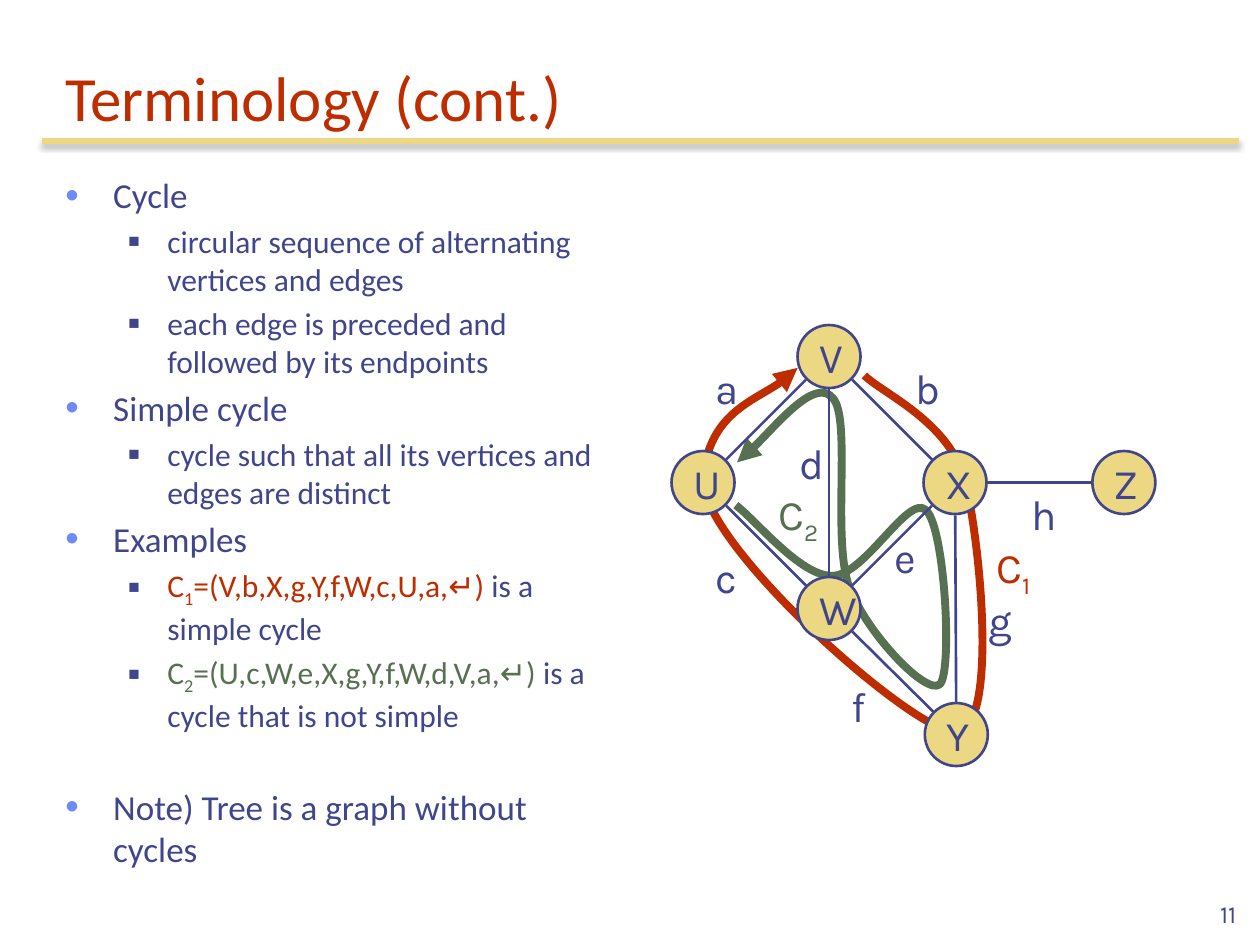
from math import hypot

from lxml.etree import SubElement as Sub
from pptx import Presentation
from pptx.dml.color import RGBColor
from pptx.enum.shapes import MSO_CONNECTOR as Link, MSO_SHAPE as Kind
from pptx.enum.text import MSO_ANCHOR as Anchor, MSO_AUTO_SIZE as Fit, PP_ALIGN as Align
from pptx.oxml.ns import qn
from pptx.util import Inches, Pt

RED = RGBColor(0xBE, 0x2D, 0x00)
GREEN = RGBColor(0x57, 0x70, 0x52)
NAVY = RGBColor(0x40, 0x45, 0x8C)
BLUE = RGBColor(0x6F, 0x89, 0xF7)
GOLD = RGBColor(0xEC, 0xD8, 0x82)
BLACK = RGBColor(0, 0, 0)

WIDE, HIGH = Inches(10), Inches(7.5)
COL, ROW = WIDE / 10, HIGH / 7.5
NODE = 0.5

ITEMS = [
    (0, 0, [("Cycle", NAVY)]),
    (1, 3.6, [("circular sequence of alternating vertices and edges", NAVY)]),
    (1, 3.6, [("each edge is preceded and followed by its endpoints", NAVY)]),
    (0, 4, [("Simple cycle", NAVY)]),
    (1, 3.6, [("cycle such that all its vertices and edges are distinct", NAVY)]),
    (0, 4, [("Examples", NAVY)]),
    (1, 3.6, [("C", RED), ("1", RED, True), ("=(V,b,X,g,Y,f,W,c,U,a,↵)", RED),
              (" is a simple cycle", NAVY)]),
    (1, 3.6, [("C", GREEN), ("2", GREEN, True), ("=(U,c,W,e,X,g,Y,f,W,d,V,a,↵)", GREEN),
              (" is a cycle that is not simple", NAVY)]),
    (0, 29.5, [("Note) Tree is a graph without cycles", NAVY)]),
]
LEVELS = [
    dict(size=20, left=0.38, hang=0.38, mark="•", tint=BLUE, share=110),
    dict(size=18, left=0.81, hang=0.31, mark="■", tint=NAVY, share=60),
]

NODES = {"X": (2, 1), "U": (0, 1), "V": (1, 0), "W": (1, 2), "Z": (3.34, 1), "Y": (2.01, 3)}
EDGES = ["VU", "WU", "WX", "XZ", "VX", "VW", "WY", "XY"]
LABELS = {"a": (0.25, 0.25, 0.38), "c": (0.25, 1.75, 0.36), "b": (1.84, 0.25, 0.39),
          "e": (1.67, 1.59, 0.38), "d": (0.92, 0.84, 0.39), "f": (1.33, 2.77, 0.31),
          "g": (2.42, 2.09, 0.39), "h": (2.76, 1.25, 0.39)}
LOOPS = [
    ("1", RED, (2.48, 1.67), "a:tailEnd",
     [(1.53, 0.4), (1.67, 0.54), (2.21, 0.77), (2.33, 1.24), (2.45, 1.72), (2.6, 3.24),
      (2.25, 3.23), (1.91, 3.23), (0.21, 1.72), (0.25, 1.21), (0.3, 0.7), (0.85, 0.52),
      (1, 0.34)]),
    ("2", GREEN, (0.75, 1.25), "a:headEnd",
     [(0.52, 1.09), (0.65, 1), (1.14, 0.41), (1.28, 0.58), (1.43, 0.74), (1.27, 1.7),
      (1.41, 2.08), (1.55, 2.45), (2.03, 2.95), (2.13, 2.85), (2.23, 2.75), (2.17, 1.61),
      (2.02, 1.47), (1.88, 1.33), (1.53, 2), (1.27, 1.99), (1.02, 1.99), (0.67, 1.55),
      (0.51, 1.43)]),
]


def span(x, y, *size):
    sides = [round(x * COL), round(y * ROW)]
    if size:
        sides += [round(size[0] * COL), round(size[1] * ROW)]
    return sides


def write(par, text, size=24, color=NAVY, font="Karla", sub=False):
    run = par.add_run()
    run.text = text
    run.font.size = Pt(size)
    run.font.name = font
    run.font.color.rgb = color
    if sub:
        run.font._element.set("baseline", "-25000")


def frame(slide, box, wrap=True, anchor=Anchor.TOP):
    body = slide.shapes.add_textbox(*span(*box)).text_frame
    body.word_wrap = wrap
    body.auto_size = Fit.NONE if wrap else Fit.SHAPE_TO_FIT_TEXT
    body.vertical_anchor = anchor
    return body


def line(slide, start, end, color=NAVY, width=1.5):
    link = slide.shapes.add_connector(Link.STRAIGHT, *span(*start), *span(*end))
    link.line.color.rgb = color
    link.line.width = Pt(width)
    return Sub(link._element.spPr, qn("a:effectLst"))


def tint(parent, color):
    return Sub(parent, qn("a:srgbClr"), val=str(color))


def bullet(par, left, hang, mark, color, share):
    props = par._p.get_or_add_pPr()
    props.set("marL", str(Inches(left)))
    props.set("indent", str(-Inches(hang)))
    tint(Sub(props, qn("a:buClr")), color)
    Sub(props, qn("a:buSzPct"), val=str(share * 1000))
    Sub(props, qn("a:buFont"), typeface="Arial")
    Sub(props, qn("a:buChar"), char=mark)


def header(slide, box):
    x, y, w, h = box
    glow = line(slide, (x - 0.09, y + h + 0.01), (x + w + 0.08, y + h + 0.01), GOLD, 3)
    shade = Sub(glow, qn("a:outerShdw"), blurRad=str(Pt(3.1)), dist=str(Pt(1.8)),
                dir="5400000", rotWithShape="0")
    Sub(tint(shade, BLACK), qn("a:alpha"), val="35000")
    body = frame(slide, box, anchor=Anchor.BOTTOM)
    write(body.paragraphs[0], "Terminology (cont.)", size=36, color=RED, font="Calibri")


def outline(slide, box):
    body = frame(slide, box)
    for index, (depth, gap, parts) in enumerate(ITEMS):
        par = body.add_paragraph() if index else body.paragraphs[0]
        look = LEVELS[depth]
        par.level = depth
        bullet(par, look["left"], look["hang"], look["mark"], look["tint"], look["share"])
        par.space_before = Pt(gap)
        for text, color, *sub in parts:
            write(par, text, size=look["size"], color=color, font="Calibri", sub=bool(sub))


def curve(slide, points, color, end):
    first, *rest = [span(*point) for point in points]
    pen = slide.shapes.build_freeform(*first)
    pen.add_line_segments(rest, close=False)
    shape = pen.convert_to_shape()
    shape.shadow.inherit = False
    shape.fill.background()
    shape.line.color.rgb = color
    shape.line.width = Pt(4.5)
    Sub(shape.line._get_or_add_ln(), qn(end), type="triangle")
    steps = shape._element.xpath(".//a:lnTo")
    for index in range(0, len(steps), 3):
        bend = Sub(steps[index].getparent(), qn("a:cubicBezTo"))
        for step in steps[index:index + 3]:
            bend.append(step[0])
            step.getparent().remove(step)


def node(slide, name, box):
    disc = slide.shapes.add_shape(Kind.OVAL, *span(*box))
    disc.shadow.inherit = False
    disc.fill.solid()
    disc.fill.fore_color.rgb = GOLD
    disc.line.color.rgb = NAVY
    disc.line.width = Pt(1.5)
    body = disc.text_frame
    body.word_wrap = False
    body.vertical_anchor = Anchor.MIDDLE
    body.paragraphs[0].alignment = Align.LEFT
    write(body.paragraphs[0], name)


def edge(slide, a, b):
    dx, dy = b[0] - a[0], b[1] - a[1]
    reach = (NODE / 2 + 0.01) / hypot(dx, dy)
    line(slide, (a[0] + dx * reach, a[1] + dy * reach),
         (b[0] - dx * reach, b[1] - dy * reach))


def graph(slide, box):
    left, top = box[:2]

    def spot(x, y, shift=0):
        return left + x + shift, top + y + shift

    for _, color, _, end, points in LOOPS:
        curve(slide, [spot(*point) for point in points], color, end)
    for name, place in NODES.items():
        node(slide, name, (*spot(*place), NODE, NODE))
    for a, b in EDGES:
        edge(slide, spot(*NODES[a], NODE / 2), spot(*NODES[b], NODE / 2))
    for name, (x, y, w) in LABELS.items():
        write(frame(slide, (*spot(x, y), w, 0.5), wrap=False).paragraphs[0], name)
    for mark, color, place, _, _ in LOOPS:
        par = frame(slide, (*spot(*place), 0.52, 0.5), wrap=False).paragraphs[0]
        write(par, "C", color=color)
        write(par, mark, color=color, sub=True)


def footer(slide, box):
    par = frame(slide, box, anchor=Anchor.BOTTOM).paragraphs[0]
    par.alignment = Align.RIGHT
    write(par, "11", size=14)


def main():
    deck = Presentation()
    deck.slide_width, deck.slide_height = WIDE, HIGH
    slide = deck.slides.add_slide(deck.slide_layouts[6])
    header(slide, (0.42, 0.33, 9.33, 0.78))
    outline(slide, (0.42, 1.33, 4.42, 5.76))
    graph(slide, (5.33, 2.58, 3.84, 3.5))
    footer(slide, (7.83, 6.92, 2.08, 0.5))
    deck.save("out.pptx")


if __name__ == "__main__":
    main()
